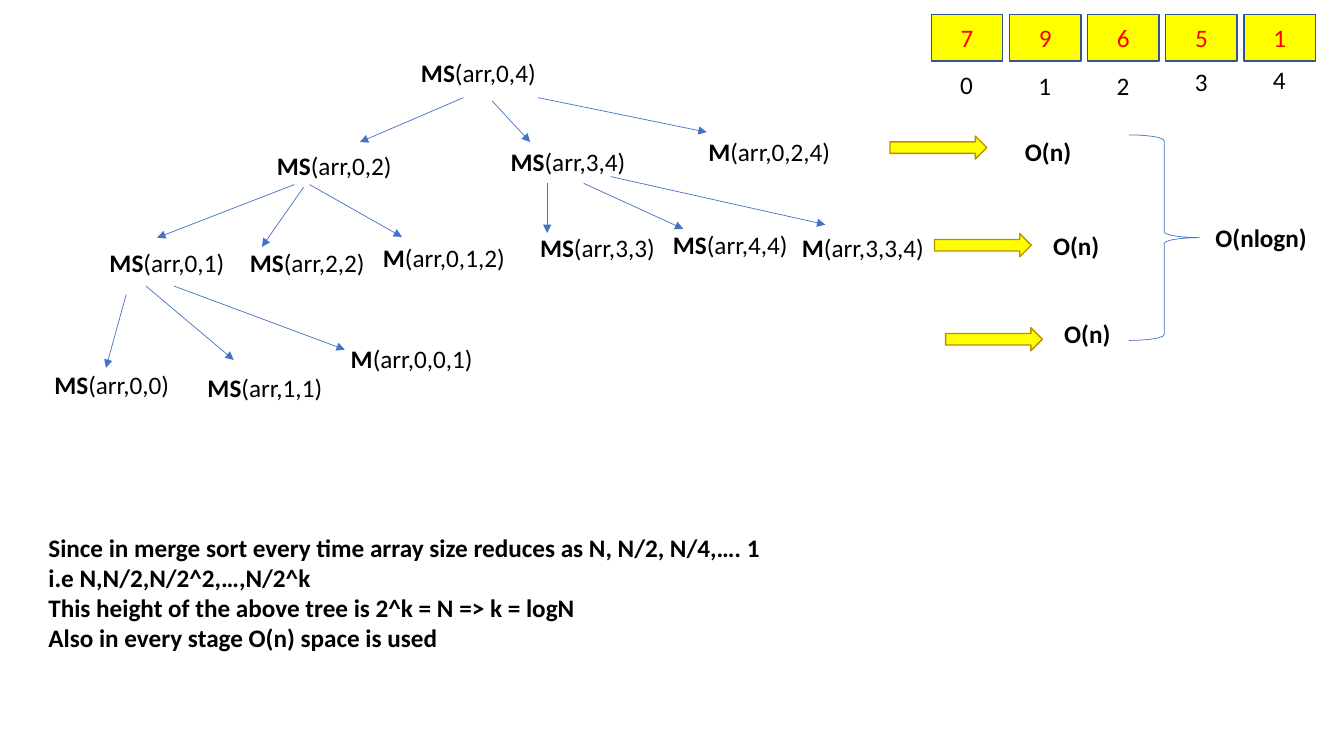
from lxml import etree
from pptx import Presentation
from pptx.dml.color import RGBColor
from pptx.enum.shapes import MSO_CONNECTOR, MSO_SHAPE
from pptx.enum.text import MSO_ANCHOR, PP_ALIGN
from pptx.oxml.ns import qn
from pptx.util import Cm, Pt

RECTANGLE = MSO_SHAPE.RECTANGLE
RIGHT_ARROW = MSO_SHAPE.RIGHT_ARROW
RIGHT_BRACE = MSO_SHAPE.RIGHT_BRACE
STRAIGHT = MSO_CONNECTOR.STRAIGHT
CENTER = PP_ALIGN.CENTER
MIDDLE = MSO_ANCHOR.MIDDLE

BLACK = RGBColor(0x00, 0x00, 0x00)
RED = RGBColor(0xFF, 0x00, 0x00)
YELLOW = RGBColor(0xFF, 0xFF, 0x00)
BLUE = RGBColor(0x44, 0x72, 0xC4)
DARK_BLUE = RGBColor(0x32, 0x54, 0x91)
GOLD = RGBColor(0xBD, 0x8E, 0x00)

ARRAY_LEFT, ARRAY_TOP, ARRAY_PITCH = 23.47, 0.37, 1.97
ARRAY_VALUES = [7, 9, 6, 5, 1]
INDEX_TOPS = [1.63, 1.65, 1.65, 1.55, 1.5]

CALLS = [
    ("MS", "(arr,0,4)", 10.36, 1.32),
    ("MS", "(arr,0,2)", 6.73, 3.66),
    ("MS", "(arr,3,4)", 12.62, 3.56),
    ("M", "(arr,0,2,4)", 17.6, 3.3),
    ("MS", "(arr,0,1)", 2.51, 6.1),
    ("MS", "(arr,2,2)", 6.05, 6.1),
    ("M", "(arr,0,1,2)", 9.4, 5.97),
    ("MS", "(arr,3,3)", 13.36, 5.74),
    ("MS", "(arr,4,4)", 16.71, 5.66),
    ("M", "(arr,3,3,4)", 19.96, 5.72),
    ("MS", "(arr,0,0)", 1.12, 9.17),
    ("MS", "(arr,1,1)", 4.98, 9.25),
    ("M", "(arr,0,0,1)", 8.59, 8.53),
]

BRANCHES = [
    (11.68, 2.46, 9.07, 3.58),
    (12.4, 2.54, 13.36, 3.58),
    (13.56, 2.46, 17.81, 3.33),
    (7.42, 4.65, 3.96, 5.99),
    (7.65, 4.72, 6.6, 6.22),
    (7.8, 4.65, 10.13, 5.97),
    (13.79, 4.6, 13.79, 5.87),
    (14.71, 4.62, 17.22, 5.77),
    (15.39, 4.45, 20.8, 5.66),
    (3.18, 7.42, 2.67, 9.27),
    (3.68, 7.21, 5.89, 9.07),
    (4.39, 7.21, 8.69, 8.81),
]

LEVEL_COSTS = [
    (22.43, 3.43, 25.58, 3.3),
    (23.55, 5.89, 26.29, 5.69),
    (23.83, 8.26, 26.57, 7.9),
]

EXPLANATION = [
    "Since in merge sort every time array size reduces as N, N/2, N/4,…. 1",
    "i.e N,N/2,N/2^2,…,N/2^k",
    "This height of the above tree is 2^k = N => k = logN",
    "Also in every stage O(n) space is used",
]


class SlideBuilder:
    font_name = "Calibri"
    font_size = Pt(18)

    def __init__(self, slide):
        self.slide = slide

    def style_run(self, run, color=BLACK, bold=False):
        run.font.name = self.font_name
        run.font.size = self.font_size
        run.font.color.rgb = color
        run.font.bold = bold

    def shape(self, kind, left, top, width, height, line, weight, fill=None):
        shape = self.slide.shapes.add_shape(
            kind, Cm(left), Cm(top), Cm(width), Cm(height))
        shape.shadow.inherit = False
        if fill is None:
            shape.fill.background()
        else:
            shape.fill.solid()
            shape.fill.fore_color.rgb = fill
        shape.line.color.rgb = line
        shape.line.width = Pt(weight)
        return shape

    def array_cell(self, value, left, top):
        cell = self.shape(RECTANGLE, left, top, 1.8, 1.17, DARK_BLUE, 1, YELLOW)
        cell.text_frame.text = str(value)
        cell.text_frame.vertical_anchor = MIDDLE
        paragraph = cell.text_frame.paragraphs[0]
        paragraph.alignment = CENTER
        self.style_run(paragraph.runs[0], RED)

    def text(self, lines, left, top, width, height=1.02, bold=False):
        box = self.slide.shapes.add_textbox(
            Cm(left), Cm(top), Cm(width), Cm(height))
        box.text_frame.word_wrap = True
        box.text_frame.text = "\n".join(lines)
        for paragraph in box.text_frame.paragraphs:
            self.style_run(paragraph.runs[0], bold=bold)
        return box

    def call(self, name, arguments, left, top):
        box = self.text([name], left, top, 3.94, bold=True)
        run = box.text_frame.paragraphs[0].add_run()
        run.text = arguments
        self.style_run(run)

    def branch(self, *ends):
        connector = self.slide.shapes.add_connector(STRAIGHT, *map(Cm, ends))
        connector.line.color.rgb = BLUE
        connector.line.width = Pt(0.5)
        line = connector.line._get_or_add_ln()
        etree.SubElement(line, qn("a:tailEnd"), type="triangle")
        etree.SubElement(connector._element.spPr, qn("a:effectLst"))


def main():
    presentation = Presentation()
    presentation.slide_width = Cm(33.87)
    presentation.slide_height = Cm(19.05)
    blank_layout = presentation.slide_layouts[6]
    builder = SlideBuilder(presentation.slides.add_slide(blank_layout))

    for index, (value, index_top) in enumerate(zip(ARRAY_VALUES, INDEX_TOPS)):
        left = ARRAY_LEFT + index * ARRAY_PITCH
        builder.array_cell(value, left, ARRAY_TOP)
        builder.text([str(index)], left + 0.48, index_top, 0.84)

    for call in CALLS:
        builder.call(*call)
    for branch in BRANCHES:
        builder.branch(*branch)

    for arrow_left, arrow_top, cost_left, cost_top in LEVEL_COSTS:
        builder.shape(RIGHT_ARROW, arrow_left, arrow_top, 2.44, 0.58,
                      GOLD, 1, YELLOW)
        builder.text(["O(n)"], cost_left, cost_top, 1.8, bold=True)

    builder.shape(RIGHT_BRACE, 28.45, 3.4, 1.78, 5.18, BLUE, 0.5)
    builder.text(["O(nlogn)"], 30.38, 5.49, 3, bold=True)
    builder.text(EXPLANATION, 0.97, 13.28, 29.85, 3.33, bold=True)

    presentation.save("out.pptx")


if __name__ == "__main__":
    main()
